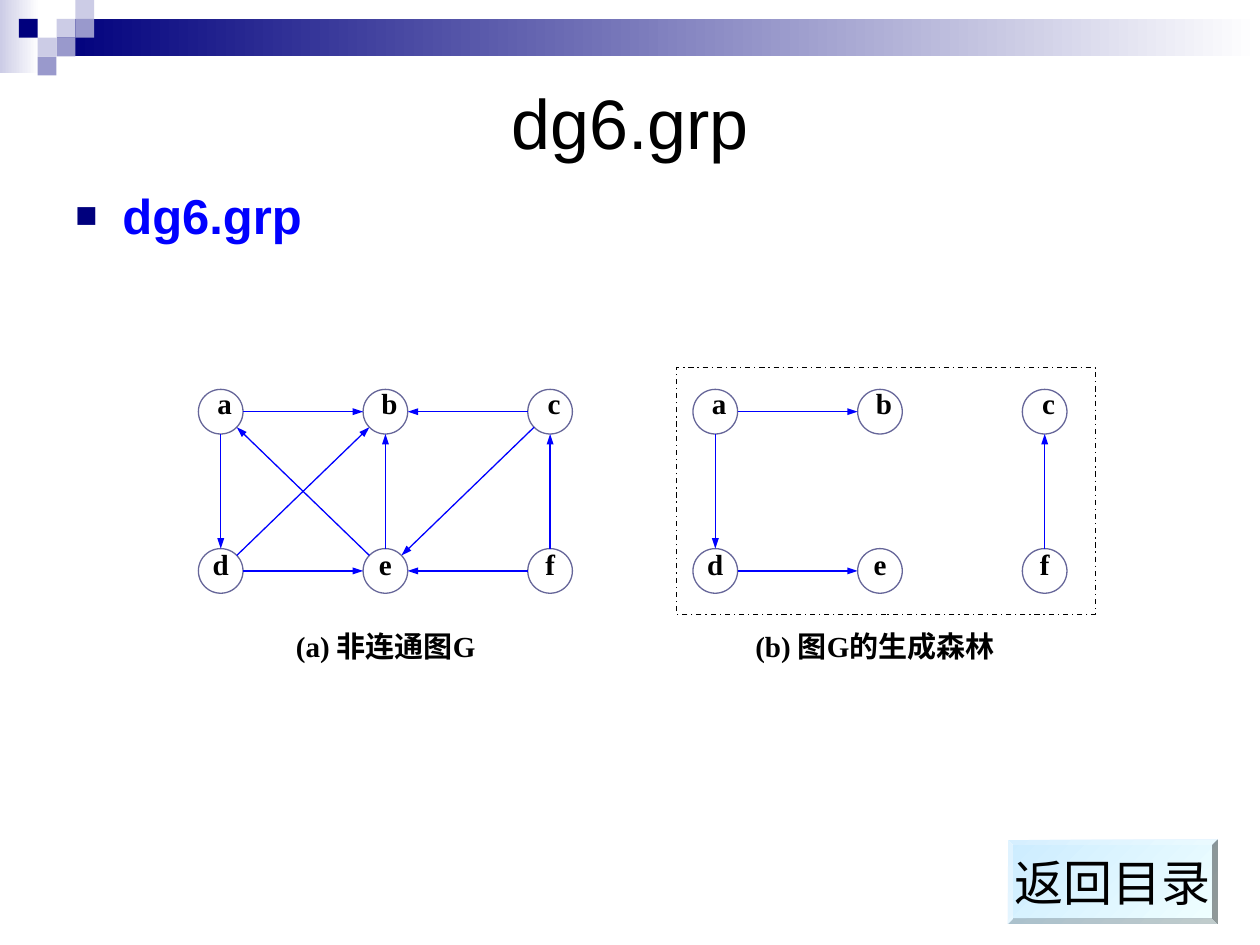
from math import hypot

from lxml import etree
from pptx import Presentation
from pptx.dml.color import RGBColor
from pptx.enum.dml import MSO_LINE
from pptx.enum.shapes import MSO_CONNECTOR as CONN, MSO_SHAPE as SHAPE
from pptx.enum.text import MSO_ANCHOR as ANCHOR, PP_ALIGN as ALIGN
from pptx.oxml.ns import qn
from pptx.util import Cm, Pt

NAVY, MID, PALE = "00007D", "9999CC", "CCCCE6"
WHITE, BLACK, BLUE, RIM = "FFFFFF", "000000", "0000FF", "666699"
SERIF, SANS = "Times New Roman", "Arial"

NODES = {name: (i % 3, i // 3) for i, name in enumerate("abcdef")}
PITCH_X, PITCH_Y, RADIUS = 3.32, 3.21, 0.45


def rgb(color):
    return RGBColor.from_string(color)


def add_block(s, kind, box, fill=None, line=None):
    """Add a preset shape; a pair of colours as fill makes a gradient."""
    sp = s.shapes.add_shape(kind, *map(Cm, box))
    sp.shadow.inherit = False
    if isinstance(fill, tuple):
        sp.fill.gradient()
        sp.fill.gradient_angle = 0
        for stop, color in zip(sp.fill.gradient_stops, fill):
            stop.color.rgb = rgb(color)
    elif fill:
        sp.fill.solid()
        sp.fill.fore_color.rgb = rgb(fill)
    else:
        sp.fill.background()
    if line:
        sp.line.color.rgb = rgb(line)
        sp.line.width = Pt(0.75)
    else:
        sp.line.fill.background()
    return sp


def set_text(sp, text, size, font, color=BLACK, bold=False, align=ALIGN.CENTER):
    tf = sp.text_frame
    tf.text = text
    p = tf.paragraphs[0]
    p.alignment = align
    f = p.runs[0].font
    f.size, f.name, f.bold = Pt(size), font, bold
    f.color.rgb = rgb(color)
    return p


def add_text(s, box, text, size, font, **style):
    sp = s.shapes.add_textbox(*map(Cm, box))
    sp.text_frame.word_wrap = True
    return sp, set_text(sp, text, size, font, **style)


def add_banner(s, box):
    x, y, w, h = box
    cell = 0.38
    add_block(s, SHAPE.RECTANGLE, (x, y, 0.79, 1.47), (PALE, WHITE))
    add_block(s, SHAPE.RECTANGLE, (x + 3 * cell, y + cell, w - 3 * cell, h), (NAVY, WHITE))
    squares = [(3, 1, PALE), (4, 0, PALE), (4, 1, MID), (2, 2, PALE),
               (1, 1, NAVY), (3, 2, MID), (2, 3, MID)]
    for col, row, color in squares:
        add_block(s, SHAPE.RECTANGLE, (x + col * cell, y + row * cell, cell, cell), color)


def add_title(s, box, text):
    sp, _ = add_text(s, box, text, 40, SANS)
    sp.text_frame.vertical_anchor = ANCHOR.MIDDLE


def add_bullet(s, box, text):
    _, p = add_text(s, box, text, 28, SANS, color=BLUE, bold=True, align=ALIGN.LEFT)
    p.space_before = Pt(7)
    pPr = p._p.get_or_add_pPr()
    pPr.set("marL", str(Cm(0.95)))
    pPr.set("indent", str(-Cm(0.95)))
    clr = etree.SubElement(pPr, qn("a:buClr"))
    etree.SubElement(clr, qn("a:srgbClr"), val=NAVY)
    etree.SubElement(pPr, qn("a:buSzPct"), val="75000")
    etree.SubElement(pPr, qn("a:buFont"), typeface=SANS)
    etree.SubElement(pPr, qn("a:buChar"), char="■")


def add_edge(s, start, end):
    """Draw an arrow between the rims of the nodes centred at start and end."""
    (x1, y1), (x2, y2) = start, end
    dist = hypot(x2 - x1, y2 - y1)
    dx, dy = (x2 - x1) / dist * RADIUS, (y2 - y1) / dist * RADIUS
    ends = (x1 + dx, y1 + dy, x2 - dx, y2 - dy)
    ln = s.shapes.add_connector(CONN.STRAIGHT, *map(Cm, ends))
    ln.line.color.rgb = rgb(BLUE)
    ln.line.width = Pt(0.75)
    etree.SubElement(ln.line._get_or_add_ln(), qn("a:tailEnd"),
                     type="triangle", w="sm", len="med")
    etree.SubElement(ln._element.spPr, qn("a:effectLst"))


def add_node(s, center, name, row):
    x, y = center
    add_block(s, SHAPE.OVAL, (x - RADIUS, y - RADIUS, 2 * RADIUS, 2 * RADIUS), WHITE, RIM)
    shift_x, shift_y = ((0.08, -0.45), (0, -0.41))[row]
    box = (x + shift_x - 0.31, y + shift_y, 0.62, 0.74)
    sp, p = add_text(s, box, name, 16.6, SERIF, bold=True)
    p.line_spacing = 0.9
    tf = sp.text_frame
    tf.margin_left = tf.margin_right = tf.margin_top = tf.margin_bottom = 0


def add_graph(s, box, edges):
    x, y = box[:2]
    centers = {name: (x + RADIUS + col * PITCH_X, y + RADIUS + row * PITCH_Y)
               for name, (col, row) in NODES.items()}
    for name, center in centers.items():
        add_node(s, center, name, NODES[name][1])
    for start, end in edges:
        add_edge(s, centers[start], centers[end])


def add_caption(s, box, text):
    sp, p = add_text(s, box, text, 16.6, SERIF, bold=True)
    sp.text_frame.word_wrap = False
    p.line_spacing = 0.9


def add_button(s, box, text):
    sp = add_block(s, SHAPE.BEVEL, box, ("CCECFF", "F0FFFF"))
    sp.fill.gradient_angle = 315
    sp.adjustments[0] = 0.06
    sp.text_frame.word_wrap = False
    sp.text_frame.vertical_anchor = ANCHOR.MIDDLE
    set_text(sp, text, 28, SANS)


def main():
    prs = Presentation()
    prs.slide_width, prs.slide_height = Cm(25.4), Cm(19.05)
    s = prs.slides.add_slide(prs.slide_layouts[6])
    add_banner(s, (0, 0, 25.4, 0.75))
    add_title(s, (1.27, 1.27, 22.86, 2.34), "dg6.grp")
    add_bullet(s, (1.27, 3.61, 22.86, 13.54), "dg6.grp")

    size = (2 * PITCH_X + 2 * RADIUS, PITCH_Y + 2 * RADIUS)
    add_caption(s, (5.44, 12.62, 4.67, 1.12), "(a) 非连通图G")
    add_caption(s, (14.55, 12.62, 6.17, 1.12), "(b) 图G的生成森林")
    add_graph(s, (4, 7.85, *size),
              ["ab", "ad", "de", "ea", "eb", "cb", "fe", "fc", "db", "ce"])
    add_graph(s, (13.97, 7.85, *size), ["ab", "ad", "de", "fc"])
    frame = add_block(s, SHAPE.RECTANGLE, (13.64, 7.41, 8.44, 4.98), line=BLACK)
    frame.line.dash_style = MSO_LINE.DASH_DOT

    add_button(s, (20.32, 16.93, 4.23, 1.69), "返回目录")
    prs.save("out.pptx")


if __name__ == "__main__":
    main()
